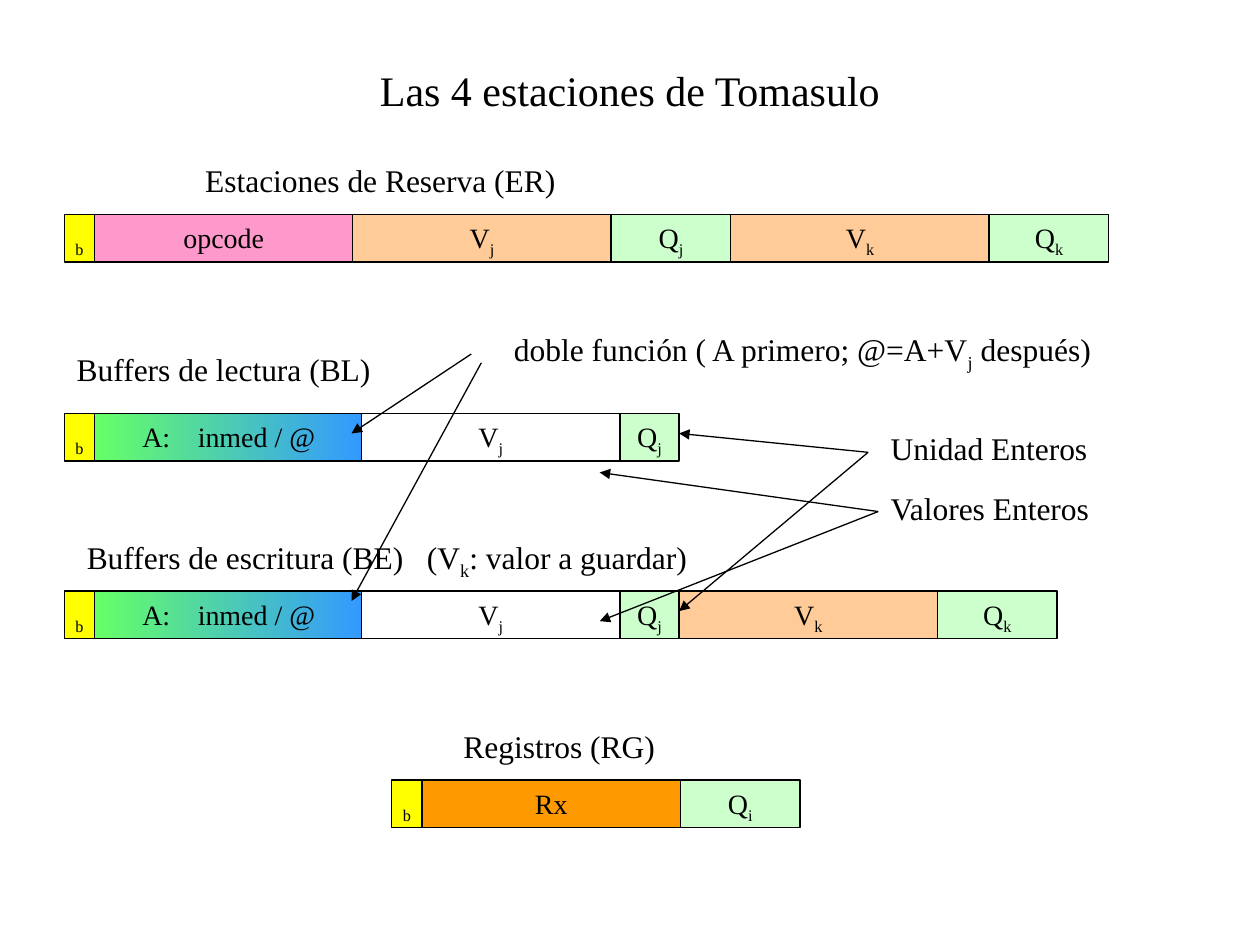
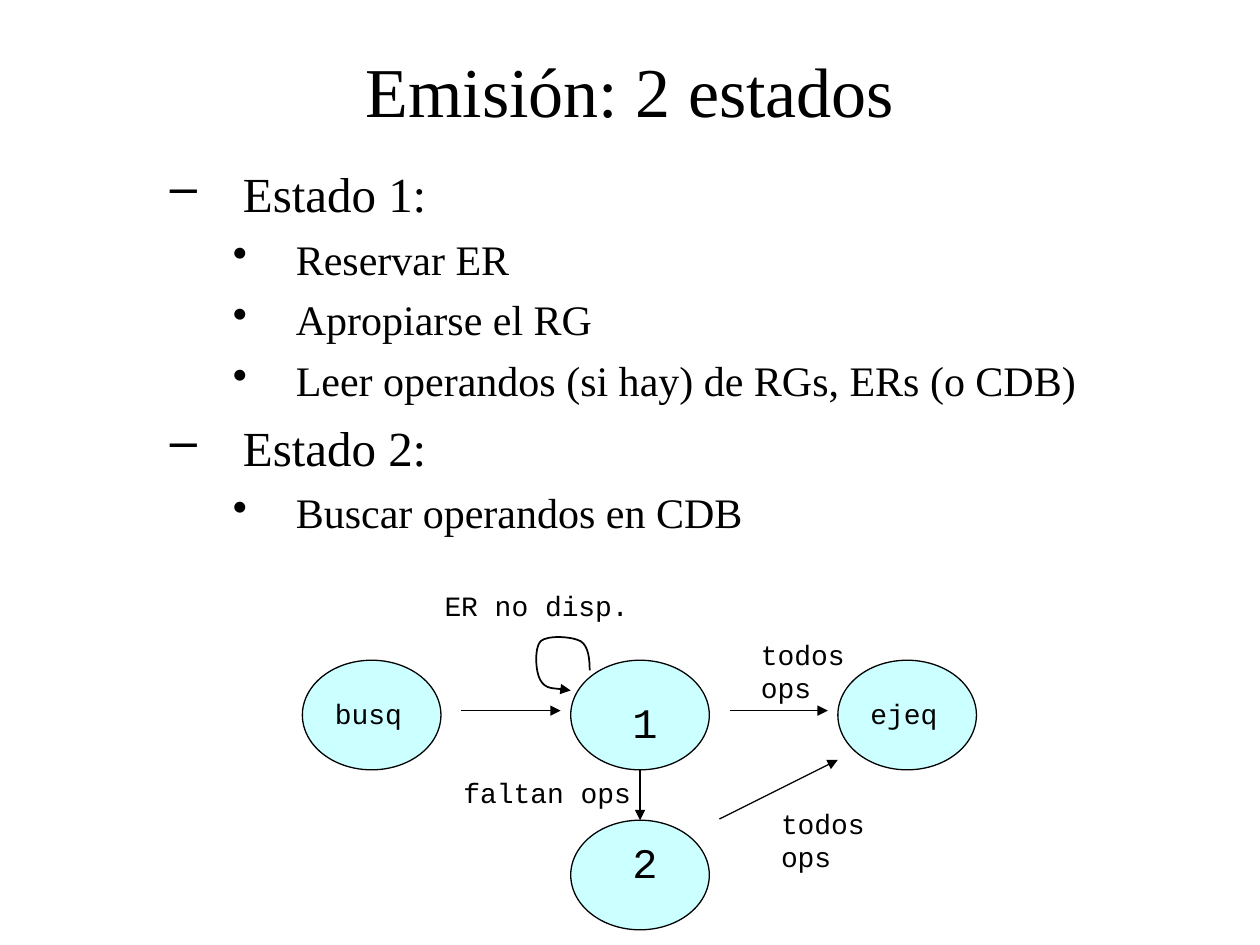
from dataclasses import dataclass
from typing import NamedTuple, Optional

from lxml.etree import SubElement
from pptx import Presentation
from pptx.dml.color import RGBColor
from pptx.enum.shapes import MSO_CONNECTOR, MSO_SHAPE
from pptx.enum.text import MSO_ANCHOR, MSO_AUTO_SIZE, PP_ALIGN
from pptx.oxml.ns import qn
from pptx.util import Inches, Pt


@dataclass(frozen=True)
class Theme:
    serif: str = "Times New Roman"
    mono: str = "Courier New"
    black: str = "000000"
    busy: str = "FFFF00"
    opcode: str = "FF99CC"
    value: str = "FFCC99"
    tag: str = "CCFFCC"
    register: str = "FF9900"
    state: str = "CCFFFF"
    address: tuple[str, str] = ("66FF66", "3399FF")
    state_title: int = 40
    outline: int = 28
    large: int = 24
    label: int = 18
    small: int = 16
    line: float = 0.75
    loop: float = 1


THEME = Theme()


class Field(NamedTuple):
    text: str
    width: float
    fill: object = None
    tab: Optional[float] = None


class Station(NamedTuple):
    left: float
    top: float
    fields: list[Field]


class Label(NamedTuple):
    text: str
    left: float
    top: float
    width: float
    height: float = 0.4
    size: int = THEME.label
    font: str = THEME.serif
    tab: Optional[float] = None


class Arrow(NamedTuple):
    start: tuple[float, float]
    end: tuple[float, float]


class State(NamedTuple):
    left: float
    top: float


class Point(NamedTuple):
    text: str
    level: int


class LevelStyle(NamedTuple):
    bullet: str
    margin: float
    hanging: float
    before: int
    size: int


BUSY = Field("_b", 0.24, THEME.busy)
ADDRESS = Field("A:\tinmed / @", 2.12, THEME.address, 0.44)
BASE = Field("V_j", 2.05)
BASE_TAG = Field("Q_j", 0.47, THEME.tag)
VALUE_K = Field("V_k", 2.05, THEME.value)
TAG_K = Field("Q_k", 0.95, THEME.tag)
ADDRESS_INSET = 0.38
FIELD_HEIGHT = 0.38

STATIONS = [
    Station(0.51, 1.7, [BUSY, Field("opcode", 2.05, THEME.opcode),
                        Field("V_j", 2.05, THEME.value),
                        Field("Q_j", 0.95, THEME.tag), VALUE_K, TAG_K]),
    Station(0.51, 3.28, [BUSY, ADDRESS, BASE, BASE_TAG]),
    Station(0.51, 4.69, [BUSY, ADDRESS, BASE, BASE_TAG, VALUE_K, TAG_K]),
    Station(3.11, 6.19, [BUSY, Field("Rx", 2.05, THEME.register),
                         Field("Q_i", 0.95, THEME.tag)]),
]
STATION_LABELS = [
    Label("Estaciones de Reserva (ER)", 1.53, 1.23, 4.33),
    Label("Buffers de lectura (BL)", 0.51, 2.73, 8.11),
    Label("Buffers de escritura (BE)\t(V_k: valor a guardar)", 0.59, 4.22, 7.88, 0.44, tab=2.7),
    Label("Registros (RG)", 3.58, 5.72, 4.33),
    Label("doble función ( A primero; @=A+V_j después)", 3.98, 2.57, 5.59, 0.44),
    Label("Unidad Enteros", 6.97, 3.36, 1.81),
    Label("Valores Enteros", 6.97, 3.83, 2.28),
]
STATION_ARROWS = [
    Arrow((3.74, 2.81), (2.79, 3.44)),
    Arrow((3.82, 2.88), (2.79, 4.77)),
    Arrow((6.97, 4.06), (4.76, 4.93)),
    Arrow((6.97, 4.06), (4.76, 3.75)),
    Arrow((6.89, 3.59), (5.39, 3.44)),
    Arrow((6.89, 3.59), (5.39, 4.85)),
]

LEVELS = {
    1: LevelStyle("–", 1.08, 0.58, 7, THEME.outline),
    2: LevelStyle("•", 1.5, 0.5, 6, THEME.large),
}
POINTS = [
    Point("Estado 1:", 1),
    Point("Reservar ER", 2),
    Point("Apropiarse el RG", 2),
    Point("Leer operandos (si hay) de RGs, ERs (o CDB)", 2),
    Point("Estado 2:", 1),
    Point("Buscar operandos en CDB", 2),
]
STATES = [State(2.4, 5.24), State(4.53, 5.24), State(6.65, 5.24), State(4.53, 6.51)]


def state_label(text: str, left: float, top: float, width: float,
                height: float = 0.37, size: int = THEME.small) -> Label:
    return Label(text, left, top, width, height, size, THEME.mono)


STATE_LABELS = [
    state_label("busq", 2.56, 5.48, 0.95),
    state_label("1", 4.92, 5.48, 0.32, 0.5, THEME.large),
    state_label("2", 4.92, 6.59, 0.32, 0.5, THEME.large),
    state_label("ejeq", 6.81, 5.48, 0.95),
    state_label("todos ops", 5.94, 5.01, 0.95, 0.64),
    state_label("todos ops", 6.1, 6.35, 0.95, 0.64),
    state_label("ER no disp.", 3.43, 4.62, 1.97),
    state_label("faltan ops", 3.58, 6.11, 1.57),
]
STATE_ARROWS = [
    Arrow((3.66, 5.64), (4.45, 5.64)),
    Arrow((5.79, 5.64), (6.57, 5.64)),
    Arrow((5.71, 6.5), (6.65, 6.03)),
    Arrow((5.08, 6.11), (5.08, 6.51)),
]
WAIT_LOOP = [
    (4.68, 5.32),
    (4.68, 5.23), (4.67, 5.13), (4.61, 5.09),
    (4.54, 5.05), (4.34, 5.04), (4.29, 5.09),
    (4.24, 5.14), (4.25, 5.34), (4.29, 5.4),
    (4.33, 5.47), (4.49, 5.47), (4.53, 5.48),
]


def color(value: str) -> RGBColor:
    return RGBColor.from_string(value)


def style_font(font, size: int, name: str = THEME.serif) -> None:
    font.size = Pt(size)
    font.name = name
    font.color.rgb = color(THEME.black)


def write(paragraph, text: str, size: int, name: str = THEME.serif,
          tab: Optional[float] = None) -> None:
    if tab is not None:
        stops = SubElement(paragraph._p.get_or_add_pPr(), qn("a:tabLst"))
        SubElement(stops, qn("a:tab"), pos=str(Inches(tab)), algn="l")
    before, _, after = text.partition("_")
    for index, part in enumerate((before, after[:1], after[1:])):
        if part:
            run = paragraph.add_run()
            run.text = part
            style_font(run.font, size, name)
            if index == 1:
                run.font._element.set("baseline", "-25000")


def style_line(line, width: float = THEME.line, arrow: bool = False) -> None:
    line.color.rgb = color(THEME.black)
    line.width = Pt(width)
    if arrow:
        SubElement(line._get_or_add_ln(), qn("a:tailEnd"), type="triangle")


def add_title_slide(deck, text: str, size: int):
    slide = deck.slides.add_slide(deck.slide_layouts[5])
    title = slide.shapes.title
    title.left, title.top = Inches(0.75), Inches(0.5)
    title.width, title.height = Inches(8.5), Inches(0.42)
    frame = title.text_frame
    frame.text = text
    frame.auto_size = MSO_AUTO_SIZE.NONE
    frame.vertical_anchor = MSO_ANCHOR.MIDDLE
    frame.paragraphs[0].alignment = PP_ALIGN.CENTER
    style_font(frame.paragraphs[0].runs[0].font, size)
    return slide


def add_label(slide, label: Label) -> None:
    box = slide.shapes.add_textbox(Inches(label.left), Inches(label.top),
                                   Inches(label.width), Inches(label.height))
    box.text_frame.word_wrap = True
    write(box.text_frame.paragraphs[0], label.text, label.size, label.font, label.tab)


def add_outlined(slide, kind, left: float, top: float, width: float, height: float, fill):
    shape = slide.shapes.add_shape(kind, Inches(left), Inches(top),
                                   Inches(width), Inches(height))
    shape.shadow.inherit = False
    style_line(shape.line)
    if fill is None:
        shape.fill.background()
    elif isinstance(fill, tuple):
        shape.fill.gradient()
        shape.fill.gradient_angle = 0
        for stop, shade in zip(shape.fill.gradient_stops, fill):
            stop.color.rgb = color(shade)
    else:
        shape.fill.solid()
        shape.fill.fore_color.rgb = color(fill)
    return shape


def add_station(slide, station: Station) -> None:
    left = station.left
    for field in station.fields:
        cell = add_outlined(slide, MSO_SHAPE.RECTANGLE, left, station.top,
                            field.width, FIELD_HEIGHT, field.fill)
        frame = cell.text_frame
        frame.vertical_anchor = MSO_ANCHOR.TOP
        frame.word_wrap = field.tab is not None
        paragraph = frame.paragraphs[0]
        paragraph.alignment = PP_ALIGN.CENTER
        if field.tab is not None:
            frame.margin_left = Inches(ADDRESS_INSET)
            paragraph.alignment = PP_ALIGN.LEFT
        write(paragraph, field.text, THEME.small, tab=field.tab)
        left += field.width


def add_arrow(slide, arrow: Arrow) -> None:
    ends = [Inches(value) for value in (*arrow.start, *arrow.end)]
    connector = slide.shapes.add_connector(MSO_CONNECTOR.STRAIGHT, *ends)
    style_line(connector.line, arrow=True)
    SubElement(connector._element.spPr, qn("a:effectLst"))


def add_loop(slide, points: list[tuple[float, float]]) -> None:
    start, *controls = [(Inches(x), Inches(y)) for x, y in points]
    builder = slide.shapes.build_freeform(*start)
    builder.add_line_segments(controls, close=False)
    loop = builder.convert_to_shape()
    outline = next(loop._element.iter(qn("a:path")))
    segments = outline.findall(qn("a:lnTo"))
    for first in range(0, len(segments), 3):
        curve = SubElement(outline, qn("a:cubicBezTo"))
        for segment in segments[first:first + 3]:
            curve.append(segment[0])
            outline.remove(segment)
    loop.shadow.inherit = False
    loop.fill.background()
    style_line(loop.line, THEME.loop, arrow=True)


def add_outline(slide, points: list[Point]) -> None:
    box = slide.shapes.add_textbox(Inches(0.75), Inches(1.25), Inches(8.83), Inches(3.25))
    frame = box.text_frame
    frame.word_wrap = True
    for index, point in enumerate(points):
        paragraph = frame.add_paragraph() if index else frame.paragraphs[0]
        style = LEVELS[point.level]
        paragraph.level = point.level
        properties = paragraph._p.get_or_add_pPr()
        properties.set("marL", str(Inches(style.margin)))
        properties.set("indent", str(-Inches(style.hanging)))
        SubElement(properties, qn("a:buChar"), char=style.bullet)
        if index:
            paragraph.space_before = Pt(style.before)
        write(paragraph, point.text, style.size)


def main() -> None:
    deck = Presentation()
    deck.slide_width, deck.slide_height = Inches(10), Inches(7.5)

    stations = add_title_slide(deck, "Las 4 estaciones de Tomasulo", THEME.large)
    for station in STATIONS:
        add_station(stations, station)

    issue = add_title_slide(deck, "Emisión: 2 estados", THEME.state_title)
    add_outline(issue, POINTS)
    for state in STATES:
        add_outlined(issue, MSO_SHAPE.OVAL, state.left, state.top, 1.1, 0.87, THEME.state)
    add_loop(issue, WAIT_LOOP)

    for slide, labels, arrows in ((stations, STATION_LABELS, STATION_ARROWS),
                                  (issue, STATE_LABELS, STATE_ARROWS)):
        for label in labels:
            add_label(slide, label)
        for arrow in arrows:
            add_arrow(slide, arrow)
    deck.save("out.pptx")


if __name__ == "__main__":
    main()
